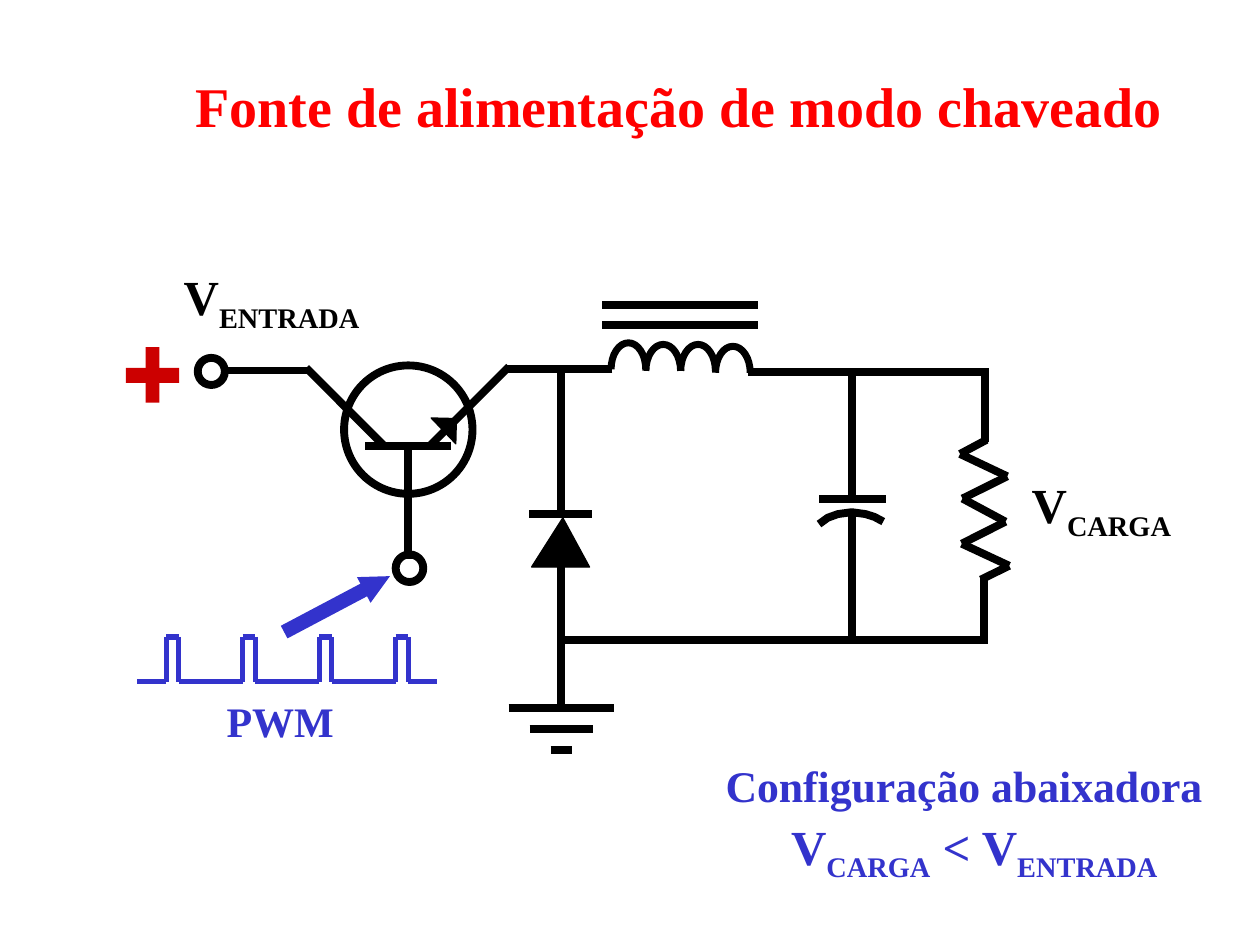
from itertools import pairwise
from math import cos, pi, sin

from lxml import etree
from pptx import Presentation
from pptx.dml.color import RGBColor
from pptx.enum.shapes import MSO_CONNECTOR, MSO_SHAPE
from pptx.enum.text import MSO_ANCHOR, MSO_AUTO_SIZE, PP_ALIGN
from pptx.oxml.ns import qn
from pptx.util import Pt

LINE = MSO_CONNECTOR.STRAIGHT
OVAL, RECT = MSO_SHAPE.OVAL, MSO_SHAPE.RECTANGLE
WEDGE, CONE = MSO_SHAPE.RIGHT_TRIANGLE, MSO_SHAPE.ISOSCELES_TRIANGLE
ARROW = MSO_SHAPE.UP_ARROW
TOP, LEFT = MSO_ANCHOR.TOP, PP_ALIGN.LEFT
FIXED = MSO_AUTO_SIZE.NONE
BLACK = RGBColor(0, 0, 0)
BLUE = RGBColor(0x33, 0x33, 0xCC)
RED = RGBColor(0xFF, 0, 0)
DARK = RGBColor(0xCC, 0, 0)
FONT = "Times New Roman"

TITLE = ("Fonte de alimentação de modo chaveado",)
LABELS = [
    (("V", "ENTRADA"), (97.9, 149, 114.5, 45.4), 28, BLACK),
    (("V", "CARGA"), (582.5, 267.8, 93.6, 45.4), 28, BLACK),
    (("PWM",), (122.4, 393.8, 75.6, 36), 24, BLUE),
    (("Configuração abaixadora",), (407.5, 429.8, 286.6, 37.4), 25, BLUE),
    (("V", "CARGA", " < V", "ENTRADA"), (445, 463, 223.9, 45.4), 28, BLUE),
]

WIRES = {
    "input": (175.7, 211.7, 126.7, 211.7),
    "collector": (219.6, 254.9, 175, 210.2),
    "emitter": (246.2, 254.2, 290.9, 209.5),
    "plate": (208.8, 254.9, 257.8, 254.9),
    "base": (233.3, 256.3, 233.3, 319.7),
    "feed": (349.9, 211, 289.4, 211),
    "diode top": (320.4, 293, 320.4, 211.7),
    "diode bar": (302.4, 293.8, 338.4, 293.8),
    "diode foot": (320.4, 323.3, 320.4, 403.2),
    "core top": (344.2, 174.2, 433.4, 174.2),
    "core low": (344.2, 185.8, 433.4, 185.8),
    "output": (427.7, 212.4, 565.2, 212.4),
    "cap top": (486.7, 284.4, 486.7, 212.4),
    "cap bar": (468, 285.1, 506.2, 285.1),
    "cap foot": (486.7, 293.8, 486.7, 365.8),
    "load top": (563, 252.7, 563, 211),
    "load foot": (562.3, 330.5, 562.3, 367.9),
    "return": (320.4, 365.8, 563.8, 365.8),
}
GROUND = [(60, 404.6), (36, 416.4), (12, 428.4)]
ZIGZAG = [(563.8, 251.3), (548.6, 259.4), (575.6, 272.2), (550, 284.9),
          (574.6, 298.1), (549.6, 310.7), (576.7, 323.3), (560.5, 331.2)]
CURVE = [(468, 299.5), (473, 295.9), (478.8, 293.8), (486.7, 292.7),
         (494.6, 293.8), (499.7, 295.4), (504.7, 298.1)]
COIL = [211, 211.9, 211.9, 213]
RINGS = [(196.6, 208.8, 73.4, 73.4), (113, 204.5, 15.5, 15.5),
         (226.1, 316.8, 15.8, 15.8)]
SOLIDS = [
    (WEDGE, (246.2, 239, 14.4, 14.4), BLACK, 181.3, (), 0.75),
    (CONE, (303.8, 295.9, 33.1, 28.1), BLACK, 0, (0.54,), 0.75),
    (RECT, (72, 210.2, 30.4, 8.6), DARK, 0, (), 0),
    (RECT, (83.2, 198.4, 7.9, 31.7), DARK, 0, (), 0),
    (ARROW, (184.3, 311, 16.6, 68.4), BLUE, 62.1, (0.49, 1.02), 0),
]


def wire(x1, y1, x2, y2, tint=BLACK, width=4.5):
    link = shapes.add_connector(LINE, Pt(x1), Pt(y1), Pt(x2), Pt(y2))
    link.line.color.rgb = tint
    link.line.width = Pt(width)
    etree.SubElement(link._element.spPr, qn("a:effectLst"))


def chain(points, **style):
    for start, end in pairwise(points):
        wire(*start, *end, **style)


def paint(shape, fill=None, width=0.0):
    shape.shadow.inherit = False
    if fill is None:
        shape.fill.background()
    else:
        shape.fill.solid()
        shape.fill.fore_color.rgb = fill
    if width:
        shape.line.color.rgb = fill or BLACK
        shape.line.width = Pt(width)
    else:
        shape.line.fill.background()


def bend(points, width):
    spots = [(Pt(x), Pt(y)) for x, y in points]
    pen = shapes.build_freeform(*spots[0])
    pen.add_line_segments(spots[1:], close=False)
    paint(pen.convert_to_shape(), width=width)


def solid(kind, box, fill=None, turn=0, adjust=(), width=0):
    shape = shapes.add_shape(kind, *map(Pt, box))
    for i, value in enumerate(adjust):
        shape.adjustments[i] = value
    shape.rotation = turn
    paint(shape, fill, width)


def write(parts, box, size, tint, shape=None):
    shape = shape or shapes.add_textbox(*map(Pt, box))
    shape.left, shape.top, shape.width, shape.height = map(Pt, box)
    frame = shape.text_frame
    frame.word_wrap = True
    frame.auto_size = FIXED
    frame.margin_right = 0
    frame.vertical_anchor = TOP
    para = frame.paragraphs[0]
    para.alignment = LEFT
    for i, part in enumerate(parts):
        run = para.add_run()
        run.text = part
        run.font.name = FONT
        run.font.size = Pt(size)
        run.font.bold = True
        run.font.color.rgb = tint
        if i % 2:
            run._r.get_or_add_rPr().set("baseline", "-25000")


deck = Presentation()
deck.slide_width, deck.slide_height = Pt(720), Pt(540)
slide = deck.slides.add_slide(deck.slide_layouts[5])
shapes = slide.shapes

write(TITLE, (104.4, 37.4, 566.6, 46.1), 32, RED, shapes.title)

for ends in WIRES.values():
    wire(*ends)
for span, y in GROUND:
    wire(320.7 - span / 2, y, 320.7 + span / 2, y)
chain(ZIGZAG)

bend(CURVE, 4.5)
for i, foot in enumerate(COIL):
    mid = 359.1 + 19.9 * i
    bend([(mid - 9.9 * cos(pi * k / 16), foot - 15.1 * sin(pi * k / 16))
          for k in range(17)], 4)

for box in RINGS:
    solid(OVAL, box, width=4.5)
for item in SOLIDS:
    solid(*item)

high, low = 364, 389.5
pulse = [(78.5, low)]
for i in range(4):
    x = 95 + 43.7 * i
    pulse += [(x, low), (x, high), (x + 7.2, high), (x + 7.2, low)]
pulse.append((249.8, low))
chain(pulse, tint=BLUE, width=3)

for label in LABELS:
    write(*label)

deck.save("out.pptx")
